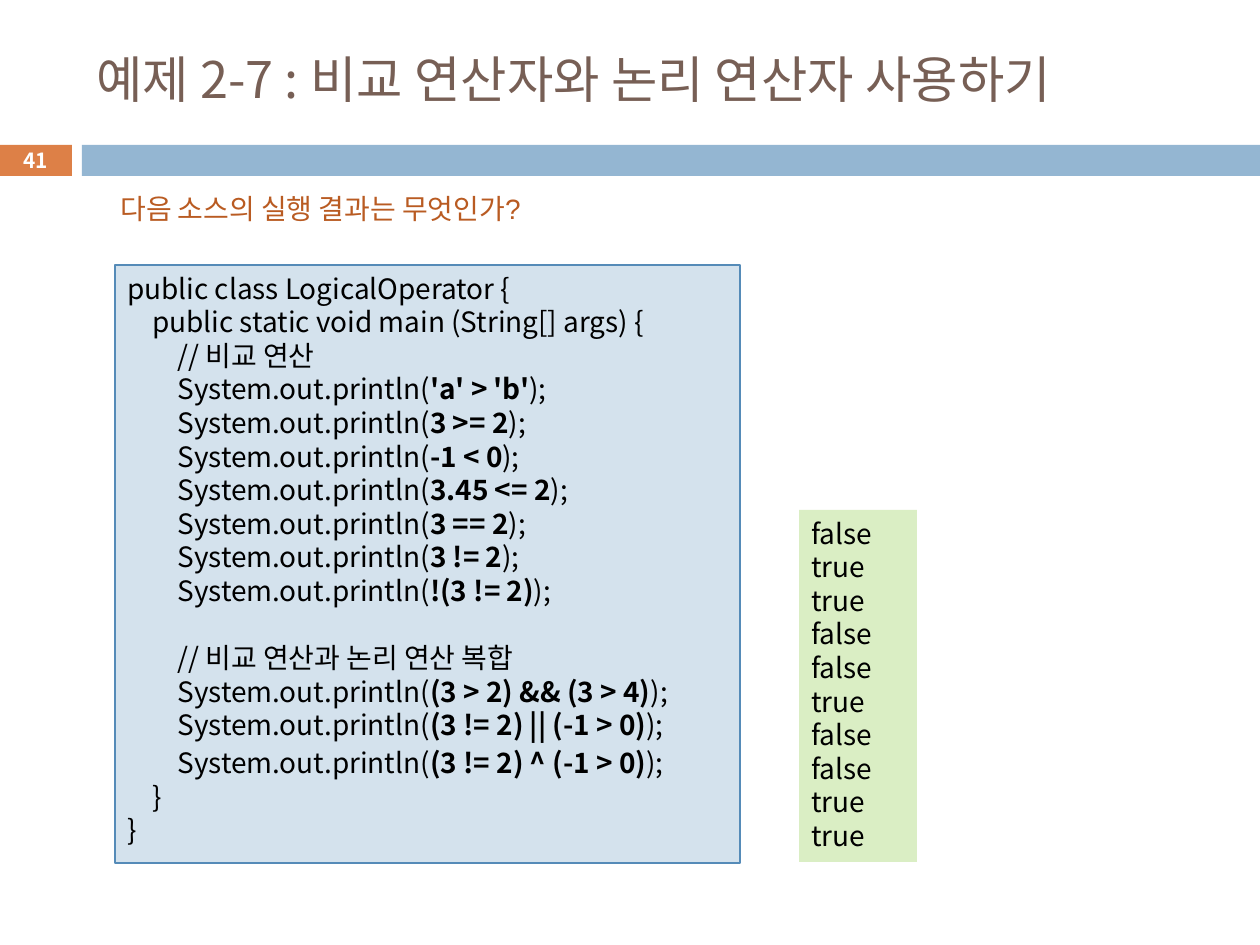
"""Builds the slide on comparison and logical operators, with its code and output."""
from lxml.etree import SubElement
from pptx import Presentation
from pptx.dml.color import RGBColor
from pptx.enum.shapes import MSO_SHAPE
from pptx.enum.text import MSO_ANCHOR, PP_ALIGN
from pptx.oxml.ns import qn
from pptx.util import Pt

SCALE = 914400 / 126
FONT = "Noto Sans CJK KR"
LINE = 19.2
COLORS = {
    "title": "775F55", "number": "DD8047", "band": "94B6D2", "question": "B95B22",
    "code": "D4E2ED", "code_line": "558BB8", "output": "DAEEC4",
    "black": "000000", "white": "FFFFFF",
}


def px(value):
    return round(value * SCALE)


def add_text(paragraph, text, size=16, font=FONT, color="black", bold=False):
    span = paragraph.add_run()
    span.text = text
    span.font.size = Pt(size)
    span.font.name = font
    span.font.bold = bold
    span.font.color.rgb = RGBColor.from_string(COLORS[color])
    SubElement(span.font._element, qn("a:ea"), typeface=FONT)


deck = Presentation()
deck.slide_width, deck.slide_height = px(1260), px(945)
page = deck.slides.add_slide(deck.slide_layouts[6])

panels = {}
for name, left, top, width, height in [
    ("number", -1, 145, 73, 31),
    ("band", 82, 145, 1178, 31),
    ("code", 115, 265, 625, 598),
    ("output", 799, 510, 118, 352),
]:
    panel = page.shapes.add_shape(MSO_SHAPE.RECTANGLE, px(left), px(top), px(width), px(height))
    panel.shadow.inherit = False
    panel.fill.solid()
    panel.fill.fore_color.rgb = RGBColor.from_string(COLORS[name])
    panel.line.fill.background()
    panel.text_frame.vertical_anchor = MSO_ANCHOR.TOP
    panels[name] = panel
panels["code"].line.color.rgb = RGBColor.from_string(COLORS["code_line"])
panels["code"].line.width = Pt(0.75)

for text, left, top, width, height, align, style in [
    ("예제 2-7 : 비교 연산자와 논리 연산자 사용하기", 84, 32, 1124, 93, PP_ALIGN.LEFT,
     {"size": 28.8, "color": "title"}),
    ("다음 소스의 실행 결과는 무엇인가?", 108, 185, 474, 47, PP_ALIGN.LEFT,
     {"font": "Arial", "color": "question"}),
    ("41", -1, 143, 73, 34, PP_ALIGN.CENTER,
     {"size": 11.9, "color": "white", "bold": True}),
]:
    box = page.shapes.add_textbox(px(left), px(top), px(width), px(height))
    box.text_frame.word_wrap = True
    box.text_frame.vertical_anchor = MSO_ANCHOR.MIDDLE
    para = box.text_frame.paragraphs[0]
    para.alignment = align
    add_text(para, text, **style)

comparisons = ["'a' > 'b'", "3 >= 2", "-1 < 0", "3.45 <= 2", "3 == 2", "3 != 2", "!(3 != 2)"]
combinations = ["(3 > 2) && (3 > 4)", "(3 != 2) || (-1 > 0)", "(3 != 2) ^ (-1 > 0)"]
second_comment = "\t\t// 비교 연산과 논리 연산 복합"
code_lines = [
    ["public class LogicalOperator {"],
    ["\tpublic static void main (String[] args) {"],
    ["\t\t// 비교 연산"],
    *[["\t\tSystem.out.println(", test, ");"] for test in comparisons],
    [second_comment],
    *[["\t\tSystem.out.println(", test, ");"] for test in combinations],
    ["\t}"],
    ["}"],
]
results = ["false", "true", "true", "false", "false", "true", "false", "false", "true", "true"]

for name, lines in [("code", code_lines), ("output", [[result] for result in results])]:
    frame = panels[name].text_frame
    for index, parts in enumerate(lines):
        para = frame.add_paragraph() if index else frame.paragraphs[0]
        para.alignment = PP_ALIGN.LEFT
        para.line_spacing = Pt(21.6 if combinations[-1] in parts else LINE)
        if parts[0] == second_comment:
            para.space_before = Pt(LINE)
        if name == "code":
            tabs = SubElement(para._p.get_or_add_pPr(), qn("a:tabLst"))
            for stop in (25, 50):
                SubElement(tabs, qn("a:tab"), pos=str(px(stop)), algn="l")
        for position, part in enumerate(parts):
            add_text(para, part, bold=position == 1)

deck.save("out.pptx")
